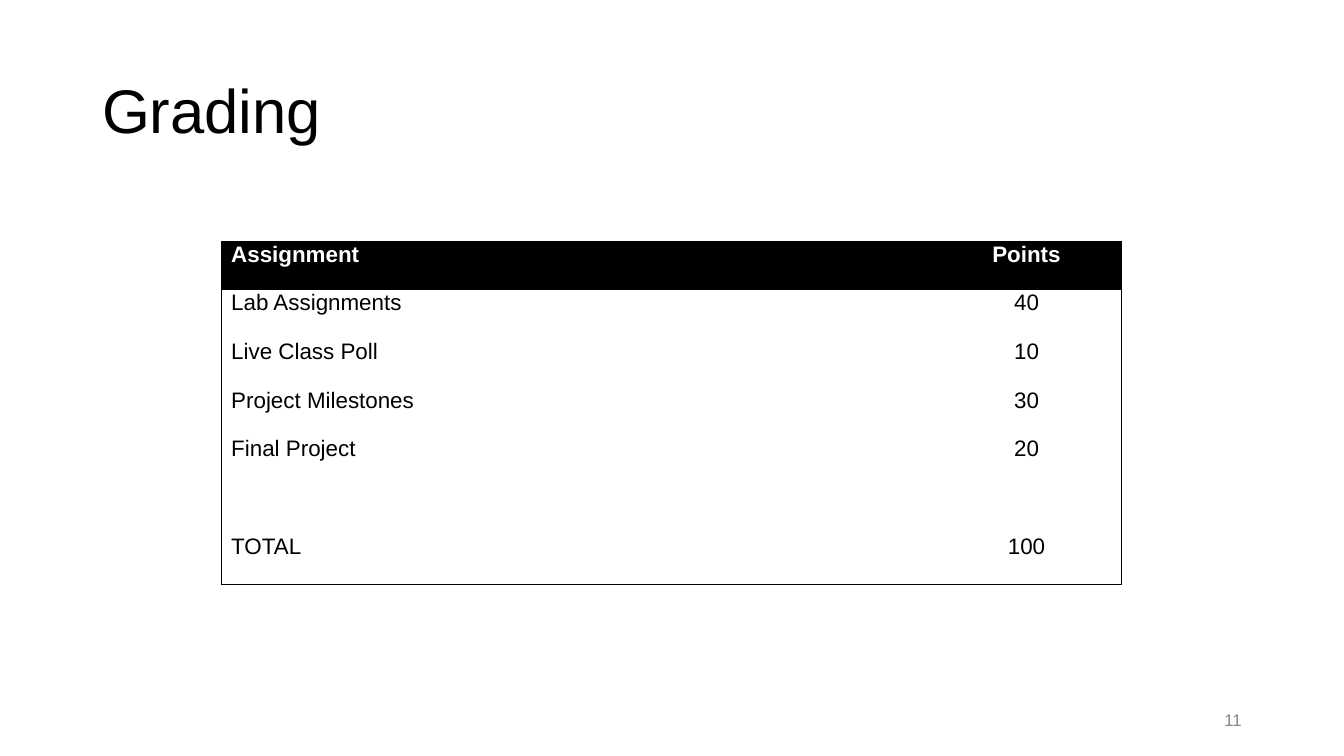
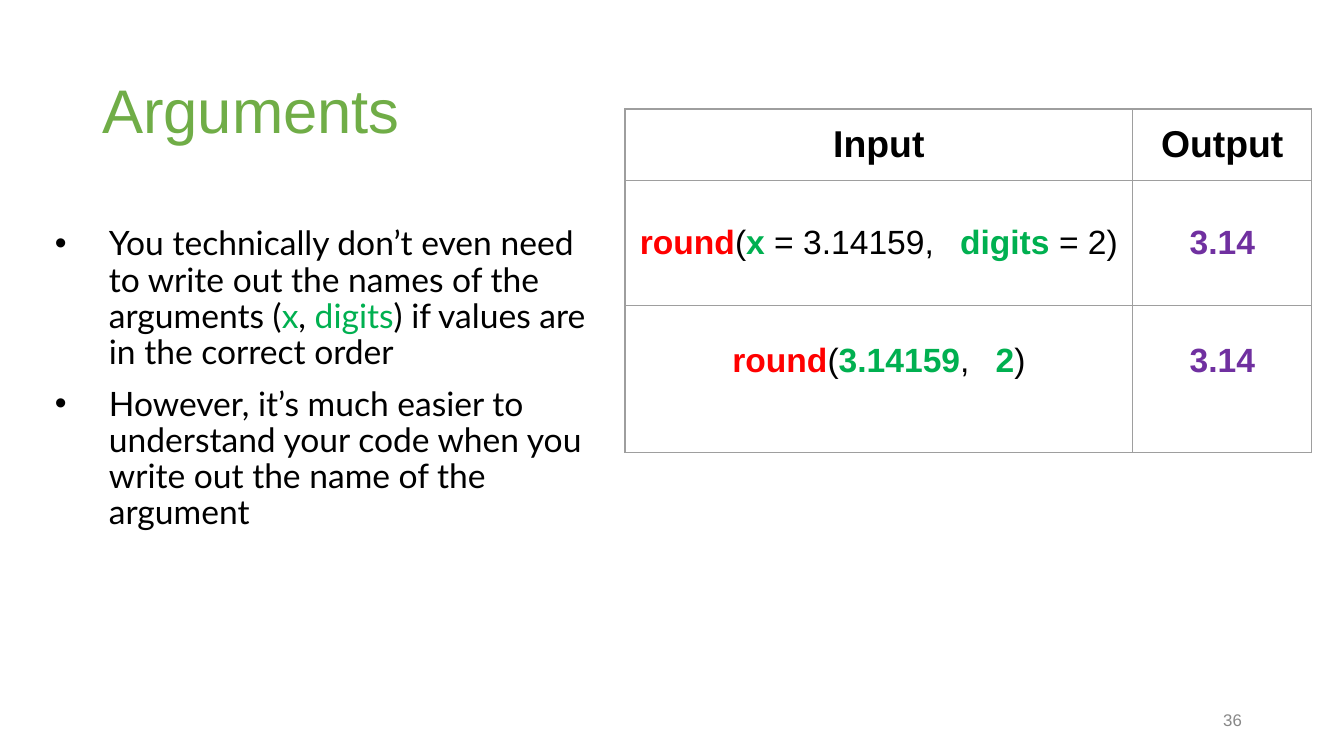
from dataclasses import dataclass

import pptx
import pptx.dml.color
import pptx.enum.text
import pptx.oxml
import pptx.oxml.ns
import pptx.util
from lxml import etree

Cm = pptx.util.Cm
Pt = pptx.util.Pt
ALIGN = pptx.enum.text.PP_ALIGN
ANCHOR = pptx.enum.text.MSO_ANCHOR
NO_STYLE = "{2D5ABB26-0587-4C30-8999-92F81FD0307C}"


@dataclass(frozen=True)
class Theme:
    black: str = "000000"
    white: str = "FFFFFF"
    accent: str = "70AD47"
    page_number: str = "888888"
    function: str = "FF0000"
    argument: str = "00B050"
    result: str = "7030A0"
    grid: str = "9E9E9E"
    font: str = "Arial"
    body_font: str = "Lato"
    title_size: int = 33
    header_size: int = 20
    body_size: int = 18
    cell_size: int = 12
    number_size: int = 9
    border: float = 0.75
    inset: float = 0.18
    grid_inset: float = 0.25


T = Theme()


def rgb(value):
    return pptx.dml.color.RGBColor.from_string(value)


def sub(parent, tag, **attrs):
    return etree.SubElement(parent, pptx.oxml.ns.qn(tag), attrs)


def write(p, content, size=T.body_size, font=T.font, color=T.black, bold=False,
          align=ALIGN.LEFT, line=None, before=None):
    """Fill p with a string or (text, format) pairs; gap widens letter spacing in points."""
    p.alignment = align
    if line:
        p.line_spacing = line
    if before:
        p.space_before = Pt(before)
    for text, own in [(content, {})] if isinstance(content, str) else content:
        r = p.add_run()
        r.text = text
        r.font.name = font
        r.font.size = Pt(size)
        r.font.bold = own.get("bold", bold)
        r.font.color.rgb = rgb(own.get("color", color))
        if "gap" in own:
            r.font._element.set("spc", str(own["gap"] * 100))


def add_box(s, left, top, width, height, anchor=ANCHOR.TOP, inset_y=T.inset):
    tf = s.shapes.add_textbox(Cm(left), Cm(top), Cm(width), Cm(height)).text_frame
    tf.word_wrap = True
    tf.vertical_anchor = anchor
    tf.margin_left = tf.margin_right = Cm(T.inset)
    tf.margin_top = tf.margin_bottom = Cm(inset_y)
    return tf


def add_slide(prs, title, number, title_color=T.black):
    s = prs.slides.add_slide(prs.slide_layouts[6])
    tf = add_box(s, 1.75, 0.76, 21.9, 2.77, ANCHOR.MIDDLE)
    write(tf.paragraphs[0], title, size=T.title_size, color=title_color, line=0.9)
    tf = add_box(s, 17.93, 13.23, 5.72, 0.76, ANCHOR.MIDDLE, 0.1)
    write(tf.paragraphs[0], number, size=T.number_size, color=T.page_number,
          align=ALIGN.RIGHT)
    return s


def add_bullets(s, items, left, top, width, height):
    tf = add_box(s, left, top, width, height)
    for i, item in enumerate(items):
        p = tf.add_paragraph() if i else tf.paragraphs[0]
        write(p, item, font=T.body_font, line=0.9, before=8)
        pPr = p._p.get_or_add_pPr()
        pPr.set("marL", str(Cm(1.27)))
        pPr.set("indent", str(-Cm(1.02)))
        color = sub(pPr, "a:buClr")
        sub(color, "a:srgbClr", val=T.black)
        sub(pPr, "a:buFont", typeface=T.font)
        sub(pPr, "a:buChar", char="•")


def add_table(s, left, top, widths, heights):
    table = s.shapes.add_table(len(heights), len(widths), Cm(left), Cm(top),
                               Cm(sum(widths)), Cm(sum(heights))).table
    table.first_row = table.horz_banding = False
    table._tbl.tblPr.find(pptx.oxml.ns.qn("a:tableStyleId")).text = NO_STYLE
    for column, width in zip(table.columns, widths):
        column.width = Cm(width)
    for row, height in zip(table.rows, heights):
        row.height = Cm(height)
    return table


def style_cell(cell, fill, line_color, sides, inset_x, inset_y, anchor=ANCHOR.TOP):
    """Give a cell margins, fill and a border on each of the sides named in L, R, T, B."""
    cell.vertical_anchor = anchor
    cell.margin_left = cell.margin_right = Cm(inset_x)
    cell.margin_top = cell.margin_bottom = Cm(inset_y)
    tcPr = cell._tc.get_or_add_tcPr()
    for side in "LRTB":
        ln = sub(tcPr, f"a:ln{side}", w=str(Pt(T.border)))
        if side in sides:
            sub(sub(ln, "a:solidFill"), "a:srgbClr", val=line_color)
        else:
            sub(ln, "a:noFill")
    cell.fill.solid()
    cell.fill.fore_color.rgb = rgb(fill)


def add_grading_table(s):
    rows = [("Assignment", "Points"), ("Lab Assignments", "40"),
            ("Live Class Poll", "10"), ("Project Milestones", "30"),
            ("Final Project", "20"), ("", ""), ("TOTAL", "100")]
    last = len(rows) - 1
    table = add_table(s, 4.19, 4.57, [13.42, 3.58], [0.92] * last + [0.96])
    for i, row in enumerate(rows):
        for j, text in enumerate(row):
            cell = table.cell(i, j)
            sides = "LR"[j] + ("T" if i == 0 else "B" if i == last else "")
            style_cell(cell, T.white if i else T.black, T.black, sides, T.inset, 0)
            if text:
                write(cell.text_frame.paragraphs[0], text, size=T.cell_size,
                      color=T.black if i else T.white, bold=i == 0,
                      align=ALIGN.CENTER if j else ALIGN.LEFT)


def add_call_table(s):
    function = dict(color=T.function, bold=True)
    argument = dict(color=T.argument, bold=True)
    plain, wide = {}, dict(gap=9)
    result = [("3.14", dict(color=T.result, bold=True))]
    named = [("round", function), ("(", plain), ("x", argument),
             (" = 3.14159,", plain), (" ", wide), ("digits ", argument),
             ("= 2)", plain)]
    positional = [("round", function), ("(", plain), ("3.14159", argument),
                  (",", plain), (" ", wide), ("2", argument), (")", plain)]
    header = [[(name, dict(bold=True))] for name in ("Input", "Output")]
    rows = [header, (named, result), (positional, result)]
    table = add_table(s, 11.81, 2.06, [9.6, 3.38], [1.3, 2.36, 2.79])
    for i, row in enumerate(rows):
        for j, content in enumerate(row):
            cell = table.cell(i, j)
            style_cell(cell, T.white, T.grid, "LRTB", T.grid_inset, T.grid_inset,
                       ANCHOR.MIDDLE)
            write(cell.text_frame.paragraphs[0], content, align=ALIGN.CENTER,
                  size=T.body_size if i else T.header_size)
    for cell in table.rows[2].cells:
        cell.margin_bottom = Cm(0.95)


def main():
    prs = pptx.Presentation()
    prs.slide_width, prs.slide_height = Cm(25.4), Cm(14.29)

    s = add_slide(prs, "Grading", "11")
    add_grading_table(s)

    s = add_slide(prs, "Arguments", "36", T.accent)
    argument = dict(color=T.argument)
    add_bullets(s, [
        [("You technically don’t even need to write out the names of the arguments (", {}),
         ("x", argument), (", ", {}), ("digits", argument),
         (") if values are in the correct order", {})],
        "However, it’s much easier to understand your code when you write out "
        "the name of the argument",
    ], 0.61, 4.11, 10.8, 9.07)
    add_call_table(s)

    prs.save("out.pptx")


if __name__ == "__main__":
    main()
